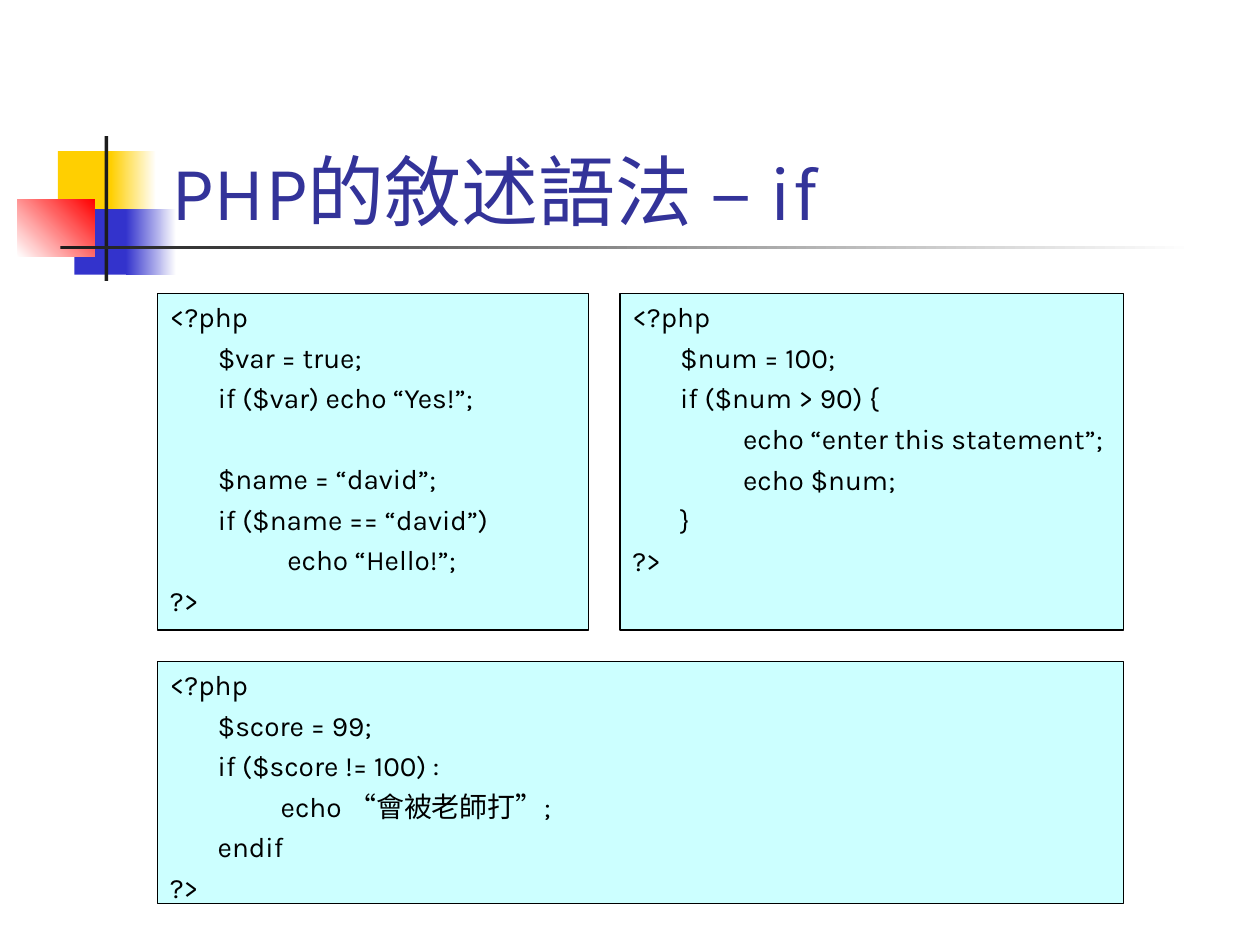
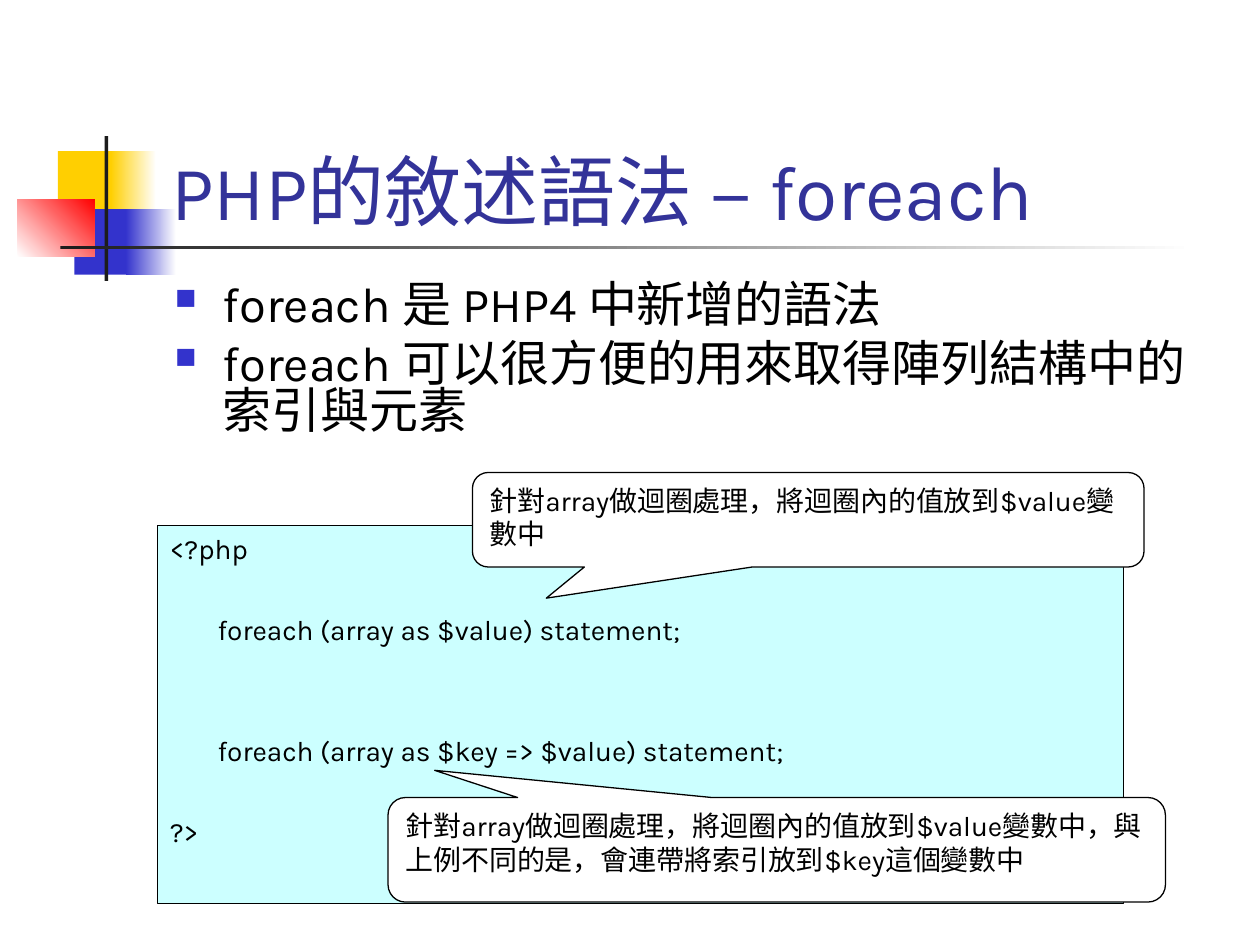
from lxml.etree import SubElement
from pptx import Presentation
from pptx.dml.color import RGBColor
from pptx.enum.shapes import MSO_SHAPE as Preset
from pptx.enum.text import MSO_ANCHOR as Anchor, PP_ALIGN as Align
from pptx.oxml.ns import qn
from pptx.util import Inches, Pt

FONT = "Karla"
BLACK = RGBColor(0x00, 0x00, 0x00)
WHITE = RGBColor(0xFF, 0xFF, 0xFF)
YELLOW = RGBColor(0xFF, 0xCF, 0x01)
BLUE = RGBColor(0x33, 0x33, 0xCC)
RED = RGBColor(0xFF, 0x00, 0x00)
CHARCOAL = RGBColor(0x1C, 0x1C, 0x1C)
TITLE_BLUE = RGBColor(0x33, 0x33, 0x99)
CODE_CYAN = RGBColor(0xCC, 0xFF, 0xFF)

HANGING = 0.38
CODE_GAP = 4
BLANK_LINE = 23

# left, top, width, height, start colour, end colour (None for solid), angle
ORNAMENT = [
    (0.46, 1.2, 0.48, 0.52, YELLOW, None, 0),
    (0.88, 1.2, 0.36, 0.52, YELLOW, WHITE, 0),
    (0.59, 1.66, 0.46, 0.52, BLUE, None, 0),
    (1, 1.66, 0.4, 0.52, BLUE, WHITE, 0),
    (0.14, 1.58, 0.61, 0.46, WHITE, RED, 45),
    (0.83, 1.08, 0.03, 1.15, CHARCOAL, None, 0),
    (0.48, 1.95, 9, 0.03, CHARCOAL, WHITE, 0),
]

IF_STRINGS = [
    "<?php",
    "\t$var = true;",
    "\tif ($var) echo “Yes!”;",
    "",
    "\t$name = “david”;",
    "\tif ($name == “david”)",
    "\t\t echo “Hello!”;",
    "?>",
]
IF_BLOCK = [
    "<?php",
    "\t$num = 100;",
    "\tif ($num > 90) {",
    "\t\techo “enter this statement”;",
    "\t\techo $num;",
    "\t}",
    "?>",
]
IF_ENDIF = [
    "<?php",
    "\t$score = 99;",
    "\tif ($score != 100) :",
    "\t\techo “會被老師打”;",
    "\tendif",
    "?>",
]
FOREACH = [
    "<?php",
    "",
    "\tforeach (array as $value) statement;",
    "",
    "",
    "\tforeach (array as $key => $value) statement;",
    "",
    "?>",
]


def style(paragraph, size, color=BLACK):
    paragraph.alignment = Align.LEFT
    font = paragraph.font
    font.name, font.size = FONT, Pt(size)
    font.color.rgb = color


def hang(paragraph):
    """Set a hanging indent and return the paragraph properties."""
    properties = paragraph._p.get_or_add_pPr()
    properties.set("marL", str(Inches(HANGING)))
    properties.set("indent", str(-Inches(HANGING)))
    return properties


def add_tab_stops(properties):
    stops = SubElement(properties, qn("a:tabLst"))
    for inch in range(8):
        SubElement(stops, qn("a:tab"), pos=str(Inches(inch)), algn="l")


def add_bullet(properties):
    color = SubElement(properties, qn("a:buClr"))
    SubElement(color, qn("a:srgbClr"), val=str(BLUE))
    SubElement(properties, qn("a:buSzPct"), val="60000")
    SubElement(properties, qn("a:buChar"), char="■")


def paragraphs_for(frame, lines):
    """Yield one paragraph for each line, reusing the frame's first one."""
    for index, line in enumerate(lines):
        paragraph = frame.add_paragraph() if index else frame.paragraphs[0]
        paragraph.text = line
        yield paragraph


def add_text_area(slide, box, anchor=Anchor.TOP):
    frame = slide.shapes.add_textbox(*map(Inches, box)).text_frame
    frame.word_wrap = True
    frame.vertical_anchor = anchor
    return frame


def add_preset(slide, preset, box):
    shape = slide.shapes.add_shape(preset, *map(Inches, box))
    shape.shadow.inherit = False
    return shape


def add_panel(slide, preset, box, color):
    """Add an outlined panel whose text starts at the top left."""
    panel = add_preset(slide, preset, box)
    panel.fill.solid()
    panel.fill.fore_color.rgb = color
    panel.line.color.rgb = BLACK
    panel.line.width = Pt(0.75)
    panel.text_frame.word_wrap = True
    panel.text_frame.vertical_anchor = Anchor.TOP
    return panel


def add_ornament(slide):
    for *box, start, end, angle in ORNAMENT:
        block = add_preset(slide, Preset.RECTANGLE, box)
        block.line.fill.background()
        if end is None:
            block.fill.solid()
            block.fill.fore_color.rgb = start
        else:
            block.fill.gradient()
            block.fill.gradient_angle = angle
            for stop, color in zip(block.fill.gradient_stops, (start, end)):
                stop.color.rgb = color


def add_titled_slide(deck, title):
    slide = deck.slides.add_slide(deck.slide_layouts[6])
    add_ornament(slide)
    frame = add_text_area(slide, (1.26, 0.67, 8.52, 1.25), Anchor.BOTTOM)
    frame.text = title
    style(frame.paragraphs[0], 44, TITLE_BLUE)
    return slide


def add_code(slide, box, lines):
    """Add a code panel; an empty line becomes space before the next one."""
    gaps, blank = [], 0
    for line in lines:
        if line:
            gaps.append(CODE_GAP + blank)
            blank = 0
        else:
            blank += BLANK_LINE
    gaps[0] = 0
    frame = add_panel(slide, Preset.RECTANGLE, box, CODE_CYAN).text_frame
    for paragraph, gap in zip(paragraphs_for(frame, filter(None, lines)), gaps):
        add_tab_stops(hang(paragraph))
        paragraph.space_before = Pt(gap)
        style(paragraph, 16)


def add_bullets(slide, box, lines):
    frame = add_text_area(slide, box)
    for index, paragraph in enumerate(paragraphs_for(frame, lines)):
        add_bullet(hang(paragraph))
        paragraph.line_spacing = 0.8
        paragraph.space_before = Pt(7 if index else 0)
        style(paragraph, 28)


def add_callout(slide, box, tip, text):
    """Add a speech bubble; tip is its offset from the centre as a share of size."""
    callout = add_panel(slide, Preset.ROUNDED_RECTANGULAR_CALLOUT, box, WHITE)
    callout.adjustments[0], callout.adjustments[1] = tip
    callout.text_frame.text = text
    style(callout.text_frame.paragraphs[0], 16)


def main():
    deck = Presentation()
    deck.slide_width, deck.slide_height = Inches(10), Inches(7.5)

    if_slide = add_titled_slide(deck, "PHP的敘述語法 – if")
    add_code(if_slide, (1.25, 2.33, 3.42, 2.67), IF_STRINGS)
    add_code(if_slide, (4.92, 2.33, 4, 2.67), IF_BLOCK)
    add_code(if_slide, (1.25, 5.25, 7.67, 1.92), IF_ENDIF)

    foreach_slide = add_titled_slide(deck, "PHP的敘述語法 – foreach")
    add_bullets(foreach_slide, (1.29, 2.21, 8.5, 1.38), [
        "foreach 是 PHP4 中新增的語法",
        "foreach 可以很方便的用來取得陣列結構中的索引與元素",
    ])
    add_code(foreach_slide, (1.25, 4.17, 7.67, 3), FOREACH)
    value_note = "針對array做迴圈處理，將迴圈內的值放到$value變數中"
    add_callout(foreach_slide, (3.75, 3.75, 5.33, 0.75), (-0.39, 0.83), value_note)
    add_callout(foreach_slide, (3.08, 6.33, 6.17, 0.83), (-0.44, -0.76),
                value_note + "，與上例不同的是，會連帶將索引放到$key這個變數中")

    deck.save("out.pptx")


if __name__ == "__main__":
    main()
